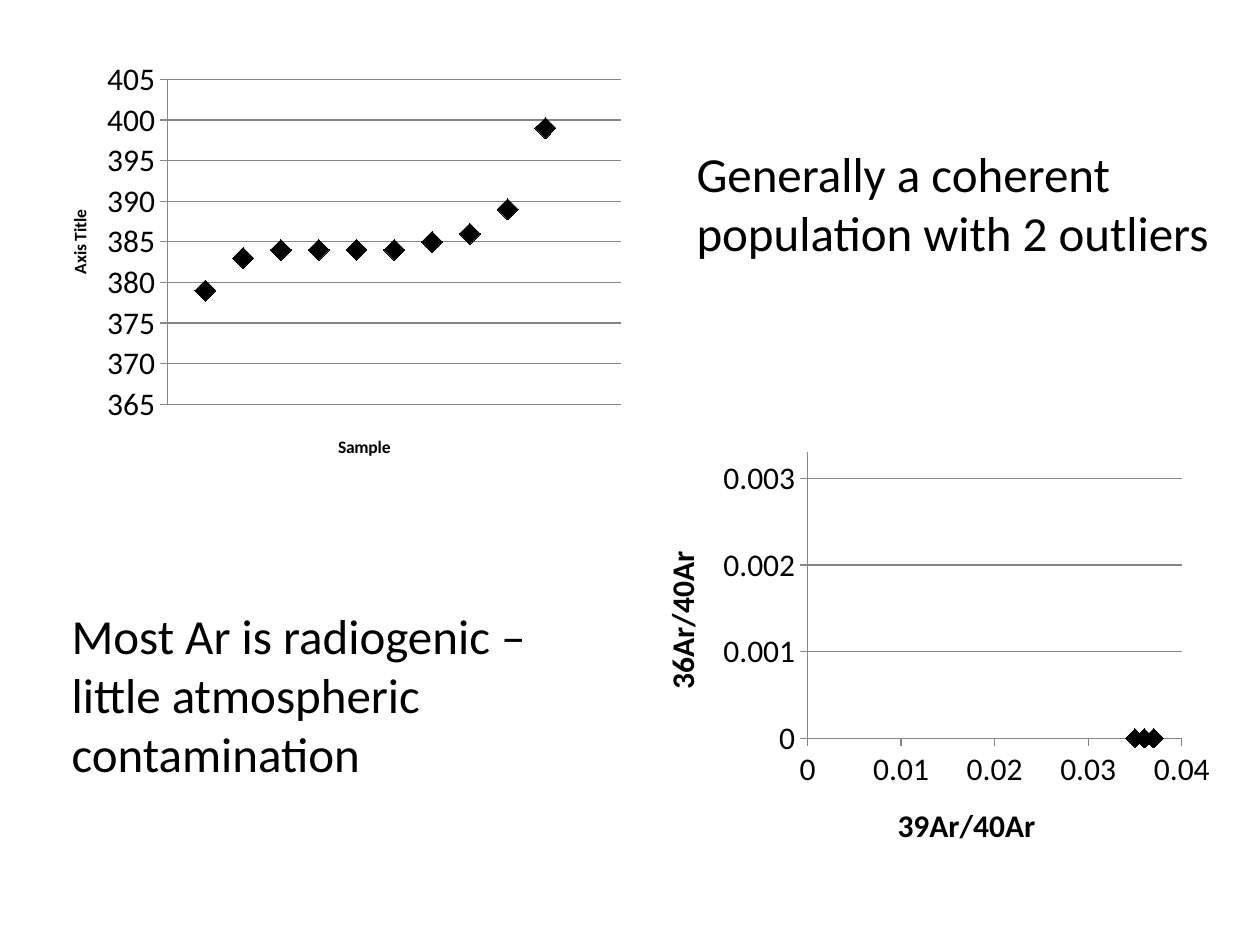
from pptx import Presentation
from pptx.chart.data import XyChartData
from pptx.dml.color import RGBColor
from pptx.enum.chart import XL_CHART_TYPE, XL_MARKER_STYLE, XL_TICK_MARK
from pptx.enum.text import MSO_AUTO_SIZE
from pptx.oxml import parse_xml
from pptx.oxml.ns import nsdecls
from pptx.util import Inches, Pt

SCATTER = XL_CHART_TYPE.XY_SCATTER
DIAMOND = XL_MARKER_STYLE.DIAMOND
OUT, NONE = XL_TICK_MARK.OUTSIDE, XL_TICK_MARK.NONE
FIT = MSO_AUTO_SIZE.SHAPE_TO_FIT_TEXT

FONT = "Calibri"
COLORS = {"ink": "000000", "rule": "868686"}
WIDE, HIGH = 10, 7.5
CHART = (4.68, 3.42)

AGES = [379, 383, 384, 384, 384, 384, 385, 386, 389, 399]
RATIOS = [0.037, 0.037, 0.037, 0.036, 0.037,
          0.037, 0.037, 0.036, 0.036, 0.035]


def color(name):
    return RGBColor.from_string(COLORS[name])


def style(font, size, bold=False):
    values = {"name": FONT, "size": Pt(size), "bold": bold}
    for key, value in values.items():
        setattr(font, key, value)
    font.color.rgb = color("ink")


def set_axis(axis, title, size, grid=False, form="General", **scale):
    """Format one axis; scale holds its limits and its step."""
    values = {
        "has_major_gridlines": grid,
        "major_tick_mark": OUT,
        "minor_tick_mark": NONE,
        **scale,
    }
    for key, value in values.items():
        setattr(axis, key, value)
    style(axis.tick_labels.font, 18)
    axis.tick_labels.number_format = form
    axis.tick_labels.number_format_is_linked = False
    lines = [axis.format.line]
    if grid:
        lines.append(axis.major_gridlines.format.line)
    for line in lines:
        line.color.rgb = color("rule")
        line.width = Pt(0.75)
    frame = axis.axis_title.text_frame
    frame.text = title
    style(frame.paragraphs[0].runs[0].font, size, True)


def set_plot(chart, *box):
    """Fix the inner plot area: left, top, width, height in inches."""
    modes = "".join(f'<c:{key}Mode val="edge"/>' for key in "xy")
    sizes = "".join(
        f'<c:{key} val="{length / full}"/>'
        for key, length, full in zip("xywh", box, CHART * 2)
    )
    layout = parse_xml(
        f'<c:layout {nsdecls("c")}><c:manualLayout>'
        f'<c:layoutTarget val="inner"/>{modes}{sizes}'
        "</c:manualLayout></c:layout>"
    )
    area = chart._chartSpace.chart.plotArea
    for old in area.findall(layout.tag):
        area.remove(old)
    area.insert(0, layout)


def add_scatter(slide, left, top, points, size):
    data = XyChartData()
    series = data.add_series("Series 1")
    for x, y in points:
        series.add_data_point(x, y)
    box = [Inches(n) for n in (left, top, *CHART)]
    chart = slide.shapes.add_chart(SCATTER, *box, data).chart
    chart.has_legend = chart.has_title = False
    style(chart.font, 10)
    plot = chart.plots[0]
    plot.vary_by_categories = False
    dots = plot.series[0]
    dots.smooth = False
    dots.format.line.fill.background()
    mark = dots.marker
    mark.style, mark.size = DIAMOND, size
    mark.format.fill.solid()
    mark.format.fill.fore_color.rgb = color("ink")
    mark.format.line.color.rgb = color("ink")
    return chart


def add_note(slide, left, top, width, text):
    box = [Inches(n) for n in (left, top, width, 1.51)]
    frame = slide.shapes.add_textbox(*box).text_frame
    frame.word_wrap = True
    frame.auto_size = FIT
    frame.text = text
    style(frame.paragraphs[0].runs[0].font, 28)


def main():
    deck = Presentation()
    deck.slide_width, deck.slide_height = Inches(WIDE), Inches(HIGH)
    slide = deck.slides.add_slide(deck.slide_layouts[6])

    ages = add_scatter(slide, 0.34, 0.41, enumerate(AGES, 1), 12)
    set_axis(ages.category_axis, "Sample", 10, visible=False,
             minimum_scale=0, maximum_scale=12)
    set_axis(ages.value_axis, "Axis Title", 10, True, "0",
             minimum_scale=365, maximum_scale=405, major_unit=5)
    set_plot(ages, 0.99, 0.22, 3.6, 2.58)

    points = [(ratio, 0) for ratio in RATIOS]
    ratios = add_scatter(slide, WIDE / 2 + 0.02, 3.52, points, 11)
    set_axis(ratios.category_axis, "39Ar/40Ar", 18,
             minimum_scale=0, maximum_scale=0.04, major_unit=0.01)
    set_axis(ratios.value_axis, "36Ar/40Ar", 18, True,
             minimum_scale=0, maximum_scale=0.0033, major_unit=0.001)
    set_plot(ratios, 1.39, 0.07, 2.97, 2.27)

    add_note(slide, 5.43, 1.09, 4.27,
             "Generally a coherent population with 2 outliers")
    add_note(slide, 0.47, 4.76, 4.3,
             "Most Ar is radiogenic – little atmospheric contamination")
    deck.save("out.pptx")


if __name__ == "__main__":
    main()
